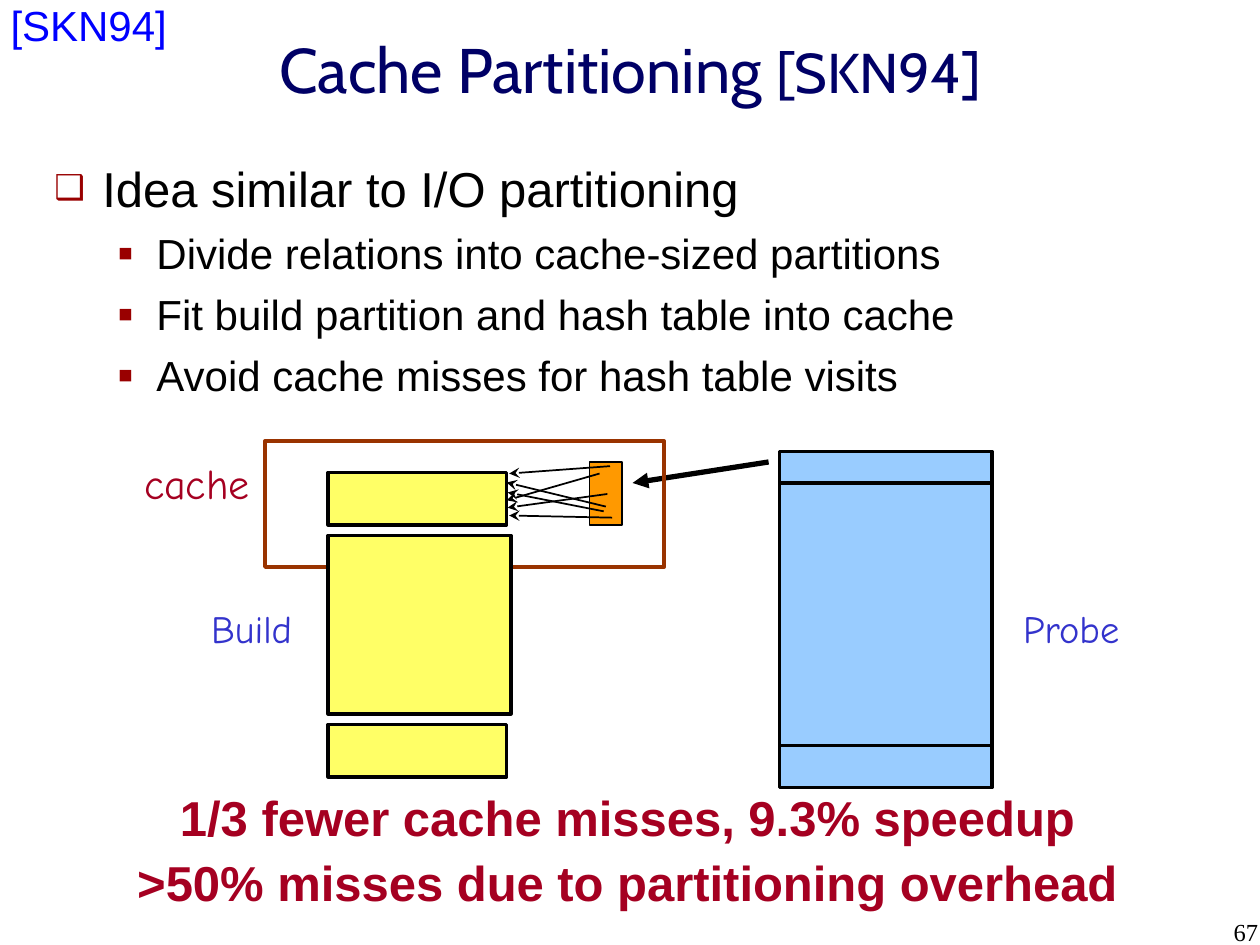
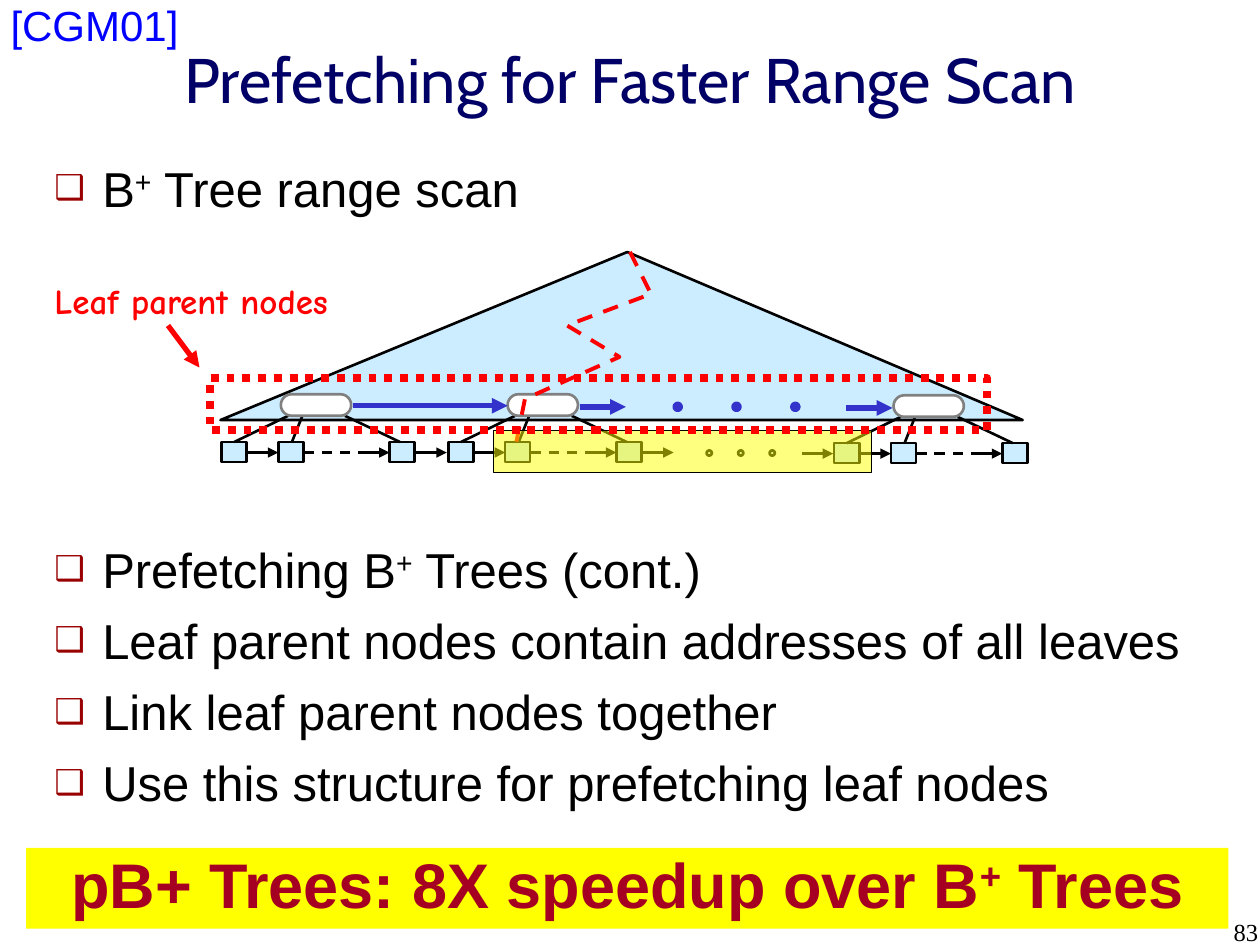
from lxml import etree
from pptx import Presentation
from pptx.dml.color import RGBColor
from pptx.enum.dml import MSO_LINE
from pptx.enum.shapes import MSO_CONNECTOR, MSO_SHAPE
from pptx.enum.text import MSO_ANCHOR, PP_ALIGN
from pptx.oxml.ns import qn
from pptx.util import Inches, Pt

RECTANGLE, ROUNDED, OVAL = MSO_SHAPE.RECTANGLE, MSO_SHAPE.ROUNDED_RECTANGLE, MSO_SHAPE.OVAL
STRAIGHT = MSO_CONNECTOR.STRAIGHT
DASH, DOT = MSO_LINE.DASH, MSO_LINE.ROUND_DOT
LEFT, CENTER, RIGHT = PP_ALIGN.LEFT, PP_ALIGN.CENTER, PP_ALIGN.RIGHT
MIDDLE, TOP = MSO_ANCHOR.MIDDLE, MSO_ANCHOR.TOP

# The slide is a grid of 120 columns by 90 rows, 12 to the inch.
COLUMNS, ROWS, CELLS_PER_INCH = 120, 90, 12

COLORS = {
    "black": "000000", "white": "FFFFFF", "gray": "808080",
    "title": "000066", "bullet": "990000", "citation": "0000FF",
    "crimson": "A50021", "label": "3333CC", "red": "FF0000",
    "build": "FFFF66", "probe": "99CCFF", "bucket": "FF9900", "cache": "993300",
    "tree": "CCECFF", "yellow": "FFFF00",
}
BODY_FONT, TITLE_FONT = "Arial", "Cabin"
LABEL_FONT, NUMBER_FONT = "Comic Neue", "Times New Roman"

# level: bullet, bullet size %, left margin, hanging indent, text size, space before
BULLETS = [("❑", 70, 0.38, 0.38, 28, 7), ("▪", 110, 0.81, 0.31, 24, 6)]


def grid(cells):
    return Inches(cells / CELLS_PER_INCH)


def rgb(name):
    return RGBColor.from_string(COLORS[name])


def style_line(line, color, width, dash=None):
    if color is None:
        line.fill.background()
        return
    line.color.rgb = rgb(color)
    line.width = Pt(width)
    if dash:
        line.dash_style = dash


def style_shape(shape, fill, line, width, dash=None):
    shape.shadow.inherit = False
    if fill:
        shape.fill.solid()
        shape.fill.fore_color.rgb = rgb(fill)
    else:
        shape.fill.background()
    style_line(shape.line, line, width, dash)


def add_block(slide, box, fill=None, line="black", width=2, kind=RECTANGLE, dash=None):
    shape = slide.shapes.add_shape(kind, *map(grid, box))
    style_shape(shape, fill, line, width, dash)
    return shape


def add_outline(slide, points, closed, fill, line, width, dash=None):
    start, *rest = [(grid(x), grid(y)) for x, y in points]
    builder = slide.shapes.build_freeform(*start)
    builder.add_line_segments(rest, close=closed)
    style_shape(builder.convert_to_shape(), fill, line, width, dash)


def add_line(slide, start, end, color="black", width=1.5, head=None, dash=None):
    connector = slide.shapes.add_connector(STRAIGHT, *map(grid, (*start, *end)))
    style_line(connector.line, color, width, dash)
    properties = connector._element.spPr
    if head:
        etree.SubElement(properties.find(qn("a:ln")), qn("a:tailEnd"), type=head)
    etree.SubElement(properties, qn("a:effectLst"))


def add_dots(slide, left, top, step, fill, line, width):
    for index in range(3):
        add_block(slide, (left + index * step, top, 0.5, 0.5), fill, line, width, OVAL)


def make_translucent(shape, percent):
    color = shape._element.spPr.find(qn("a:solidFill"))[0]
    etree.SubElement(color, qn("a:alpha"), val=str(percent * 1000))


def write_runs(paragraph, text):
    """Write the text; pieces between carets are superscript."""
    for index, piece in enumerate(text.split("^")):
        run = paragraph.add_run()
        run.text = piece
        if index % 2:
            run._r.get_or_add_rPr().set("baseline", "30000")


def style_font(font, name, size, color, bold=False):
    font.name, font.size, font.bold = name, Pt(size), bold
    font.color.rgb = rgb(color)


def fill_frame(frame, lines, font, size, color, align=LEFT, bold=False,
               spacing=None, gap=0, anchor=TOP):
    frame.word_wrap = True
    frame.vertical_anchor = anchor
    for index, text in enumerate(lines):
        paragraph = frame.add_paragraph() if index else frame.paragraphs[0]
        paragraph.alignment = align
        if spacing:
            paragraph.line_spacing = spacing
        if index:
            paragraph.space_before = Pt(gap)
        write_runs(paragraph, text)
        for run in paragraph.runs:
            style_font(run.font, font, size, color, bold)


def add_text(slide, box, text, font, size, color, **options):
    frame = slide.shapes.add_textbox(*map(grid, box)).text_frame
    fill_frame(frame, [text], font, size, color, **options)
    return frame


def add_bullets(slide, top, height, items):
    """Each item is a pair of level and text."""
    frame = slide.shapes.add_textbox(*map(grid, (4, top, 110, height))).text_frame
    frame.word_wrap = True
    for index, (level, text) in enumerate(items):
        mark, mark_size, margin, hanging, size, gap = BULLETS[level]
        paragraph = frame.add_paragraph() if index else frame.paragraphs[0]
        properties = paragraph._p.get_or_add_pPr()
        properties.set("marL", str(Inches(margin)))
        properties.set("indent", str(-Inches(hanging)))
        color = etree.SubElement(properties, qn("a:buClr"))
        etree.SubElement(color, qn("a:srgbClr"), val=COLORS["bullet"])
        etree.SubElement(properties, qn("a:buSzPct"), val=str(mark_size * 1000))
        etree.SubElement(properties, qn("a:buFont"), typeface=BODY_FONT)
        etree.SubElement(properties, qn("a:buChar"), char=mark)
        if index:
            paragraph.space_before = Pt(gap)
        write_runs(paragraph, text)
        for run in paragraph.runs:
            style_font(run.font, BODY_FONT, size, "black")


def add_conclusion(slide, top, height, lines, size, fill=None):
    banner = add_block(slide, (2.5, top, 114.5, height), fill, None)
    fill_frame(banner.text_frame, lines, BODY_FONT, size, "crimson",
               align=CENTER, bold=True, spacing=0.9, gap=7)


def add_slide(presentation, title, title_top, citation, number, title_note=""):
    """Add a blank slide with the title, citation and slide number."""
    slide = presentation.slides.add_slide(presentation.slide_layouts[6])
    frame = add_text(slide, (1, title_top, 118, 9), title, TITLE_FONT, 36, "title",
                     align=CENTER, anchor=MIDDLE)
    if title_note:
        run = frame.paragraphs[0].add_run()
        run.text = title_note
        style_font(run.font, TITLE_FONT, 32, "title")
    frame = add_text(slide, (1, 0, 16, 4.8), citation, BODY_FONT, 24, "citation")
    frame.margin_left = frame.margin_right = frame.margin_top = frame.margin_bottom = 0
    add_text(slide, (93, 86.75, 28, 3.25), number, NUMBER_FONT, 14, "black", align=RIGHT)
    return slide


def draw_cache_join(slide):
    build_left, probe_left = 31.25, 74.25
    for top in (45, 69):
        add_block(slide, (build_left, top, 17, 5), "build")
    for top in (43, 67):
        add_block(slide, (probe_left, top, 20.25, 8), "probe")
    add_block(slide, (56.15, 44, 3.1, 6), "bucket", width=0.75)
    hash_links = [
        ((58.1, 44.4), (48.5, 45.1)), ((57.7, 48.25), (48.25, 45.95)),
        ((57.5, 48.7), (48.35, 46.9)), ((57.1, 45.1), (48.25, 47.65)),
        ((58.3, 49.3), (48.5, 49.1)), ((57.85, 47.05), (48.35, 48.35)),
    ]
    for start, end in hash_links:
        add_line(slide, start, end, width=1, head="stealth")
    add_line(slide, (73.2, 44), (60.25, 46), width=3, head="triangle")
    add_block(slide, (25.25, 42, 38, 12), line="cache", width=2.25)
    add_block(slide, (build_left, 51, 17.4, 17), "build")
    add_block(slide, (probe_left, 46, 20.25, 25), "probe")
    add_text(slide, (10.25, 43, 17, 6), "cache", LABEL_FONT, 24, "crimson", align=CENTER)
    add_text(slide, (11.25, 57, 17.75, 5.6), "Build", LABEL_FONT, 22, "label", align=RIGHT)
    add_text(slide, (96.25, 57, 17.75, 5.6), "Probe", LABEL_FONT, 22, "label")


def draw_leaf_group(slide, left, top, link):
    """Draw a leaf parent over its leaves; link is where the arrow to a neighbour starts."""
    middle = top + 1
    for offset in (0, 5.4, 16):
        add_block(slide, (left + offset, top, 2.4, 1.9), "tree", width=1.5)
    for offset in (2.4, 13, link):
        add_line(slide, (left + offset, middle), (left + offset + 3, middle), head="triangle")
    add_line(slide, (left + 7.8, middle), (left + 12.25, middle), dash=DASH)
    for parent, leaf in ((6.35, 1.2), (11.75, 17), (7.7, 6.7)):
        add_line(slide, (left + parent, top - 2.5), (left + leaf, top))
    parent = add_block(slide, (left + 5.65, top - 4.55, 6.7, 2.05), "white", "gray", 1.5, ROUNDED)
    parent.adjustments[0] = 0.5


def draw_range_scan(slide):
    add_outline(slide, [(59.75, 24), (21, 40), (97.4, 40)], True, "tree", "black", 1.5)
    for left, top, link in ((21.1, 42.1, 18.45), (42.7, 42.1, 18.45), (79.45, 42.2, -3.1)):
        draw_leaf_group(slide, left, top, link)
    add_dots(slide, 67.3, 42.9, 3, "tree", "black", 1.5)
    search_route = [(60, 24), (62, 28), (54, 31), (59, 34), (50, 38), (49, 43)]
    add_outline(slide, search_route, False, None, "red", 2.25, DASH)
    scanned_range = add_block(slide, (47, 41, 36, 4), "yellow", width=0.75)
    make_translucent(scanned_range, 50)
    add_block(slide, (20, 36, 74, 5), line="red", width=4.5, dash=DOT)
    add_text(slide, (4, 26, 42.6, 5.3), "Leaf parent nodes", LABEL_FONT, 20, "red", bold=True)
    add_line(slide, (16, 31), (19, 35), "red", 3, "triangle")
    add_dots(slide, 64.3, 38.5, 5.6, "black", "label", 3)
    for start, end, row in ((33.6, 48.35, 38.65), (55.2, 59.6, 38.75), (80.6, 85, 38.85)):
        add_line(slide, (start, row), (end, row), "label", 3, "triangle")


def main():
    presentation = Presentation()
    presentation.slide_width, presentation.slide_height = grid(COLUMNS), grid(ROWS)

    slide = add_slide(presentation, "Cache Partitioning ", 2, "[SKN94]", "67", "[SKN94]")
    add_bullets(slide, 14.5, 26, [
        (0, "Idea similar to I/O partitioning"),
        (1, "Divide relations into cache-sized partitions"),
        (1, "Fit build partition and hash table into cache"),
        (1, "Avoid cache misses for hash table visits"),
    ])
    draw_cache_join(slide)
    add_conclusion(slide, 75, 12.5, [
        "1/3 fewer cache misses, 9.3% speedup",
        ">50% misses due to partitioning overhead",
    ], 28)

    slide = add_slide(presentation, "Prefetching for Faster Range Scan", 3, "[CGM01]", "83")
    add_bullets(slide, 14.5, 7, [(0, "B^+^ Tree range scan")])
    draw_range_scan(slide)
    add_bullets(slide, 50.8, 29, [
        (0, "Prefetching B^+^ Trees (cont.)"),
        (0, "Leaf parent nodes contain addresses of all leaves"),
        (0, "Link leaf parent nodes together"),
        (0, "Use this structure for prefetching leaf nodes"),
    ])
    add_conclusion(slide, 80.75, 7.7, ["pB+ Trees: 8X speedup over B^+^ Trees"], 36, "yellow")

    presentation.save("out.pptx")


if __name__ == "__main__":
    main()
